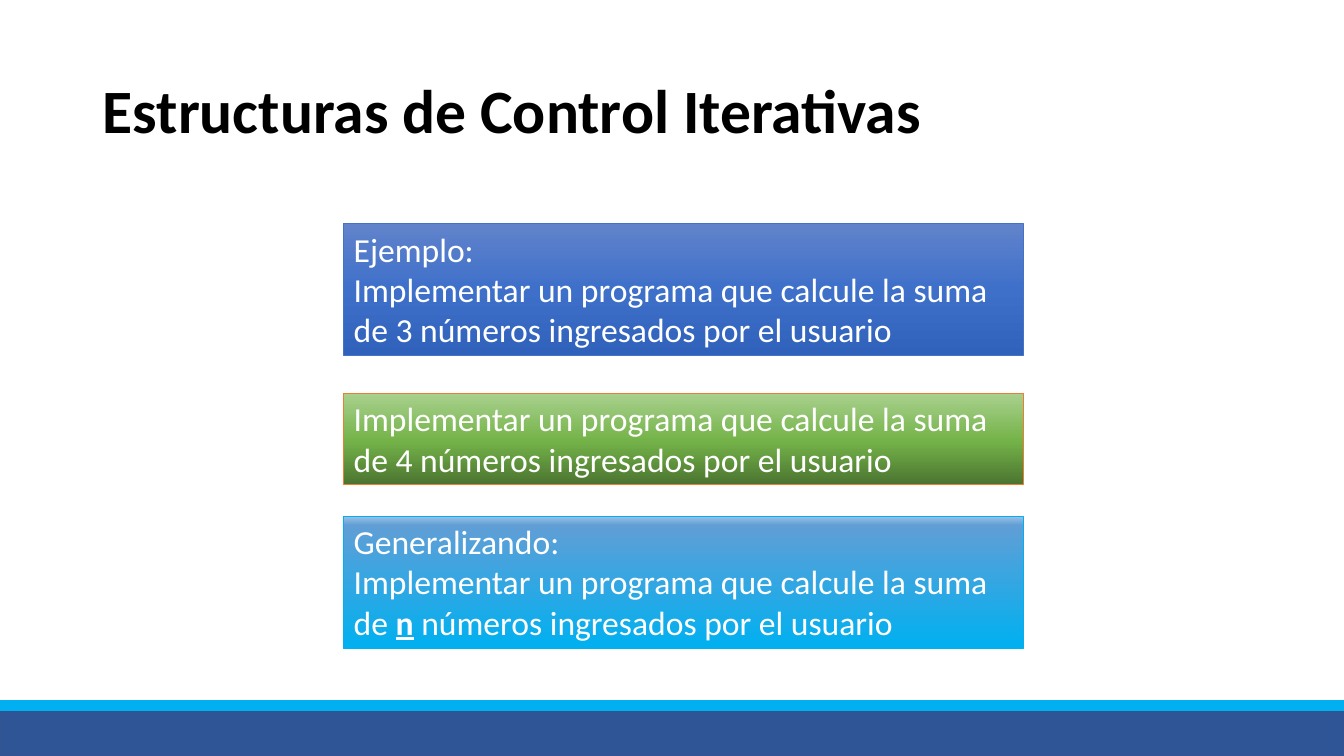
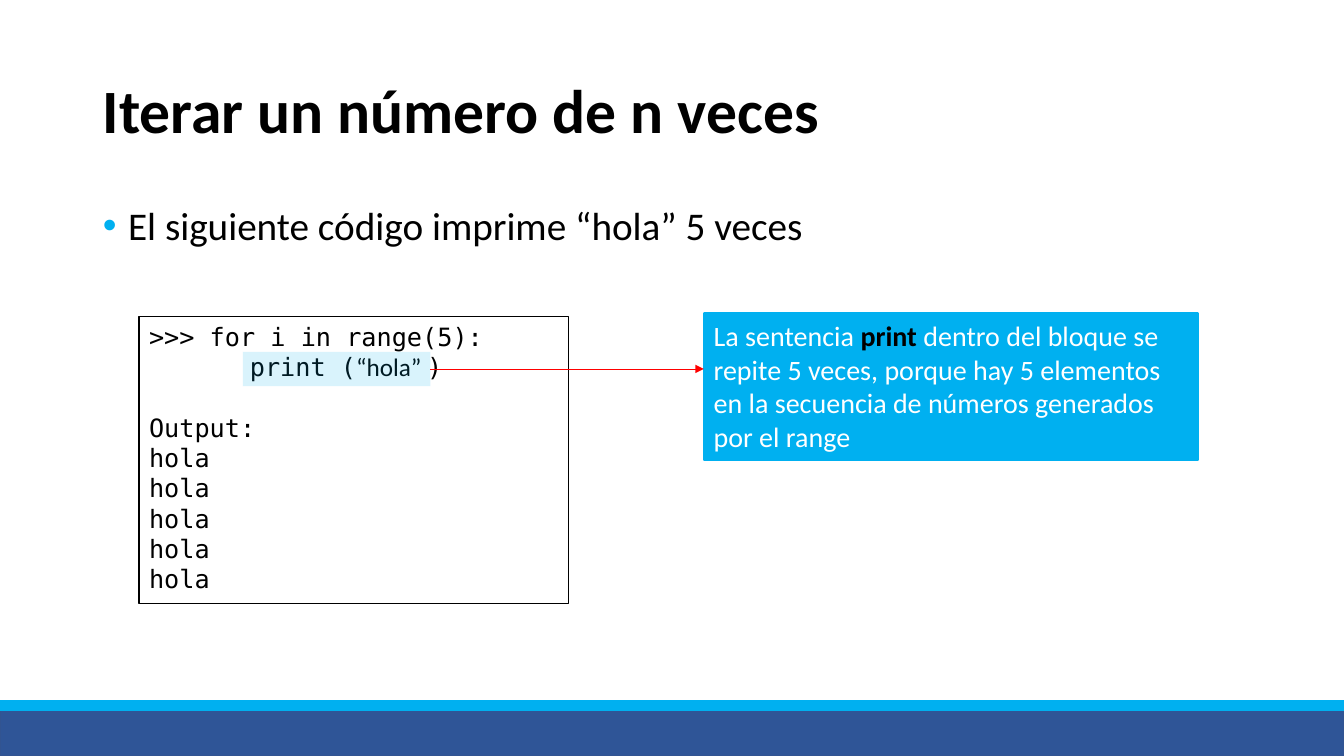
import pptx
import pptx.dml.color
import pptx.enum.dml
import pptx.enum.shapes
import pptx.enum.text
import pptx.oxml
import pptx.oxml.ns
import pptx.util
from lxml import etree

RGB = pptx.dml.color.RGBColor
Inches = pptx.util.Inches
Pt = pptx.util.Pt
qn = pptx.oxml.ns.qn
RECTANGLE = pptx.enum.shapes.MSO_SHAPE.RECTANGLE
ANCHOR = pptx.enum.text.MSO_ANCHOR
LEFT_ALIGN = pptx.enum.text.PP_ALIGN.LEFT

WHITE = RGB(0xFF, 0xFF, 0xFF)
BLACK = RGB(0, 0, 0)
RED = RGB(0xFF, 0, 0)
CYAN = RGB(0, 0xB0, 0xF0)
NAVY = RGB(0x2F, 0x55, 0x97)
NAVY_EDGE = RGB(0x32, 0x54, 0x91)
BLUE_EDGE = RGB(0x44, 0x72, 0xC4)
ORANGE = RGB(0xED, 0x7D, 0x31)
BLUES = [(0, RGB(0x61, 0x83, 0xCB)), (50, RGB(0x3E, 0x70, 0xCA)), (100, RGB(0x30, 0x62, 0xBB))]
GREENS = [(0, RGB(0xA9, 0xD1, 0x8E)), (52, RGB(0x74, 0xB3, 0x49)), (100, RGB(0x4B, 0x74, 0x30))]
SKIES = [(0, RGB(0x9D, 0xC3, 0xE6)), (7, RGB(0x60, 0x9E, 0xD6)), (100, CYAN)]

BODY_FONT, CODE_FONT = "Calibri", "DejaVu Sans Mono"
WIDTH, HEIGHT = 13.33, 7.5
MARGIN, CONTENT_WIDTH = 0.92, 11.5
BANDS = [(7.03, 0.47, NAVY, NAVY_EDGE), (6.95, 0.1, CYAN, CYAN)]

TASK = "Implementar un programa que calcule la suma de "
USER = " números ingresados por el usuario"
EXERCISES = [
    (2.22, 1.31, BLUES, BLUE_EDGE, [["Ejemplo:"], [TASK + "3" + USER]]),
    (3.9, 0.91, GREENS, ORANGE, [[TASK + "4" + USER]]),
    (5.12, 1.31, SKIES, CYAN,
     [["Generalizando:"], [TASK, ("n", {"bold": True, "underline": True}), USER]]),
]
STATEMENT = "El siguiente código imprime “hola” 5 veces"
CODE = [[">>> for i in range(5):"], ["print (", ("“hola” ", {"font": BODY_FONT}), ")"]]
OUTPUT = [["Output:"]] + [["hola"]] * 5
EXPLANATION = [["La sentencia ", ("print ", {"bold": True, "color": BLACK}),
                "dentro del bloque se repite 5 veces, porque hay 5 elementos "
                "en la secuencia de números generados por el range"]]


def write(frame, paragraphs, size, color=BLACK, font=BODY_FONT, bold=False,
          anchor=ANCHOR.TOP, spacing=None):
    frame.word_wrap = True
    frame.auto_size = pptx.enum.text.MSO_AUTO_SIZE.NONE
    frame.vertical_anchor = anchor
    for index, runs in enumerate(paragraphs):
        paragraph = frame.add_paragraph() if index else frame.paragraphs[0]
        paragraph.alignment = LEFT_ALIGN
        paragraph.line_spacing = spacing
        for part in runs:
            text, changes = (part, {}) if isinstance(part, str) else part
            run = paragraph.add_run()
            run.text = text
            run.font.size = Pt(size)
            run.font.name = changes.get("font", font)
            run.font.bold = changes.get("bold", bold)
            run.font.underline = changes.get("underline", False)
            run.font.color.rgb = changes.get("color", color)


def place(shape, left, top, width, height):
    shape.left, shape.top = Inches(left), Inches(top)
    shape.width, shape.height = Inches(width), Inches(height)


def fill_gradient(shape, stops):
    shape.fill.gradient()
    shape.fill.gradient_angle = 270
    stop_list = shape.element.spPr.find(qn("a:gradFill")).find(qn("a:gsLst"))
    for old in list(stop_list):
        stop_list.remove(old)
    for share, color in stops:
        stop = etree.SubElement(stop_list, qn("a:gs"), pos=str(share * 1000))
        etree.SubElement(stop, qn("a:srgbClr"), val=str(color))


def add_box(slide, left, top, width, height, fill, edge=None, weight=1, opacity=None):
    box = slide.shapes.add_shape(RECTANGLE, Inches(left), Inches(top),
                                 Inches(width), Inches(height))
    box.shadow.inherit = False
    if isinstance(fill, list):
        fill_gradient(box, fill)
    else:
        box.fill.solid()
        box.fill.fore_color.rgb = fill
    if opacity is not None:
        color = box.element.spPr.find(qn("a:solidFill"))[0]
        etree.SubElement(color, qn("a:alpha"), val=str(opacity * 1000))
    if edge is None:
        box.line.fill.background()
    else:
        box.line.color.rgb = edge
        box.line.width = Pt(weight)
    return box


def add_slide(deck, layout, title):
    slide = deck.slides.add_slide(deck.slide_layouts.get_by_name(layout))
    for top, height, fill, edge in BANDS:
        add_box(slide, 0, top, WIDTH, height, fill, edge)
    heading = slide.shapes.title
    place(heading, MARGIN, 0.4, CONTENT_WIDTH, 1.45)
    write(heading.text_frame, [[title]], 44, bold=True, anchor=ANCHOR.MIDDLE, spacing=0.9)
    return slide


def add_bullet(paragraph, color):
    paragraph.space_before = Pt(10)
    properties = paragraph._p.get_or_add_pPr()
    properties.set("marL", str(Inches(0.25)))
    properties.set("indent", str(-Inches(0.25)))
    bullet_color = etree.SubElement(properties, qn("a:buClr"))
    etree.SubElement(bullet_color, qn("a:srgbClr"), val=str(color))
    etree.SubElement(properties, qn("a:buFont"), typeface="Arial")
    etree.SubElement(properties, qn("a:buChar"), char="•")


def add_arrow(slide, source, end_left, color):
    middle = source.top + source.height // 2
    arrow = slide.shapes.add_connector(pptx.enum.shapes.MSO_CONNECTOR.STRAIGHT,
                                       source.left + source.width, middle,
                                       Inches(end_left), middle)
    arrow.begin_connect(source, 3)
    arrow.line.color.rgb = color
    arrow.line.width = Pt(0.5)
    etree.SubElement(arrow.line._get_or_add_ln(), qn("a:tailEnd"), type="triangle")
    etree.SubElement(arrow.element.spPr, qn("a:effectLst"))


def build_exercises(deck):
    slide = add_slide(deck, "Title Only", "Estructuras de Control Iterativas")
    for top, height, fill, edge, paragraphs in EXERCISES:
        box = add_box(slide, 3.41, top, 6.74, height, fill, edge, 0.5)
        write(box.text_frame, paragraphs, 24, WHITE)


def build_loop(deck):
    slide = add_slide(deck, "Title and Content", "Iterar un número de n veces")
    statement = slide.placeholders[1]
    place(statement, MARGIN, 2, CONTENT_WIDTH, 4.76)
    write(statement.text_frame, [[STATEMENT]], 28, spacing=0.9)
    add_bullet(statement.text_frame.paragraphs[0], CYAN)

    listing = add_box(slide, 1.38, 3.14, 4.26, 2.85, WHITE, BLACK)
    write(listing.text_frame, CODE + OUTPUT, 18, font=CODE_FONT)
    lines = listing.text_frame.paragraphs
    lines[1]._p.get_or_add_pPr().set("marL", str(Inches(1)))
    lines[len(CODE)].space_before = Pt(21.6)

    explanation_left = 6.98
    explanation = add_box(slide, explanation_left, 3.11, 4.9, 1.45, CYAN, CYAN, 1.5)
    write(explanation.text_frame, EXPLANATION, 20, WHITE)
    highlight = add_box(slide, 2.41, 3.49, 1.86, 0.34, CYAN, opacity=15)
    add_arrow(slide, highlight, explanation_left, RED)


def main():
    deck = pptx.Presentation()
    deck.slide_width, deck.slide_height = Inches(WIDTH), Inches(HEIGHT)
    build_exercises(deck)
    build_loop(deck)
    deck.save("out.pptx")


if __name__ == "__main__":
    main()
